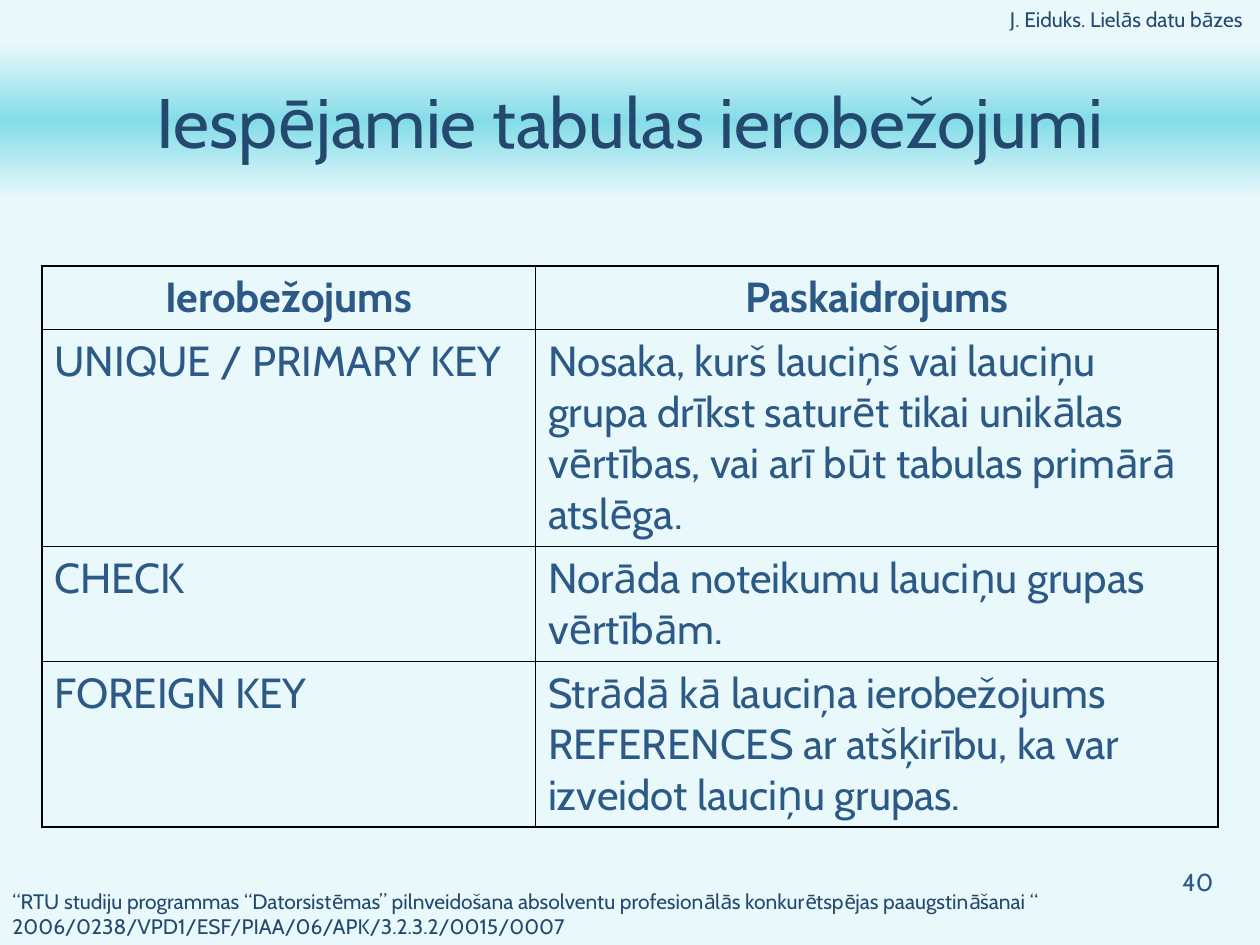
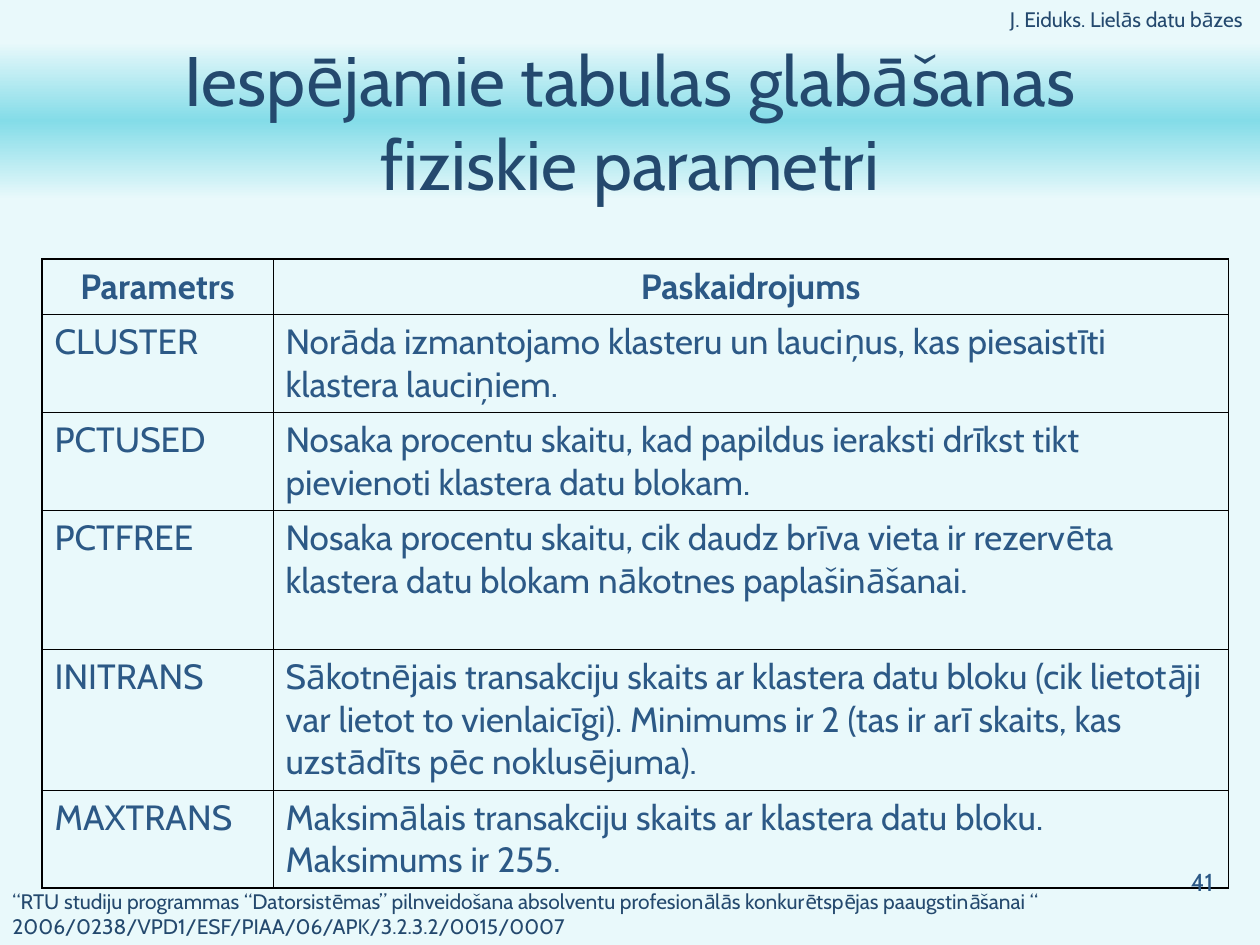
from copy import deepcopy
from dataclasses import dataclass

from lxml import etree
from pptx import Presentation
from pptx.dml.color import RGBColor
from pptx.enum import text as t
from pptx.oxml.ns import qn
from pptx.util import Pt

COLORS = {"background": "E9F9FB", "band": "84DCE8", "dark": "24496E",
          "body": "2C5986", "border": "000000"}
FONT = "Cabin"
OUTER, INNER = 1.08, 0.45
TITLE_ONLY = 5


@dataclass(frozen=True)
class Label:
    text: str
    left: float
    top: float
    width: float
    height: float
    size: float
    color: str
    align: t.PP_ALIGN


@dataclass(frozen=True)
class TableSlide:
    number: int
    title: str
    top: float
    columns: list[float]
    heights: list[float]
    size: float
    rows: list[tuple[str, str]]


SHARED_LABELS = [
    Label("“RTU studiju programmas “Datorsistēmas” pilnveidošana absolventu "
          "profesionālās konkurētspējas paaugstināšanai “\n"
          "2006/0238/VPD1/ESF/PIAA/06/APK/3.2.3.2/0015/0007",
          0, 504, 720, 36, 12, "dark", t.PP_ALIGN.LEFT),
    Label("J. Eiduks. Lielās datu bāzes ", 132, 0, 588, 15, 12, "dark", t.PP_ALIGN.RIGHT),
]

SLIDES = [
    TableSlide(40, "Iespējamie tabulas ierobežojumi", 152, [282, 390], [36, 122.5, 65, 94], 24, [
        ("Ierobežojums", "Paskaidrojums"),
        ("UNIQUE / PRIMARY KEY",
         "Nosaka, kurš lauciņš vai lauciņu grupa drīkst saturēt tikai unikālas vērtības, "
         "vai arī būt tabulas primārā atslēga."),
        ("CHECK", "Norāda noteikumu lauciņu grupas vērtībām."),
        ("FOREIGN KEY",
         "Strādā kā lauciņa ierobežojums REFERENCES ar atšķirību, ka var izveidot "
         "lauciņu grupas."),
    ]),
    TableSlide(41, "Iespējamie tabulas glabāšanas\vfiziskie parametri", 148, [132, 546],
               [31.5, 55.5, 55.5, 79.5, 79.5, 55.5], 20, [
        ("Parametrs", "Paskaidrojums"),
        ("CLUSTER",
         "Norāda izmantojamo klasteru un lauciņus, kas piesaistīti klastera lauciņiem."),
        ("PCTUSED",
         "Nosaka procentu skaitu, kad papildus ieraksti drīkst tikt pievienoti "
         "klastera datu blokam."),
        ("PCTFREE",
         "Nosaka procentu skaitu, cik daudz brīva vieta ir rezervēta klastera datu "
         "blokam nākotnes paplašināšanai."),
        ("INITRANS",
         "Sākotnējais transakciju skaits ar klastera datu bloku (cik lietotāji var lietot "
         "to vienlaicīgi). Minimums ir 2 (tas ir arī skaits, kas uzstādīts pēc noklusējuma)."),
        ("MAXTRANS",
         "Maksimālais transakciju skaits ar klastera datu bloku. Maksimums ir 255."),
    ]),
]


def rgb(name: str) -> RGBColor:
    return RGBColor.from_string(COLORS[name])


def write(tf, text: str, size: float, color: str, align: t.PP_ALIGN, bold: bool = False) -> None:
    tf.text = text
    for p in tf.paragraphs:
        p.alignment = align
        for r in p.runs:
            r.font.name = FONT
            r.font.size = Pt(size)
            r.font.bold = bold
            r.font.color.rgb = rgb(color)


def add_label(s, label: Label) -> None:
    box = s.shapes.add_textbox(*map(Pt, (label.left, label.top, label.width, label.height)))
    box.text_frame.word_wrap = True
    write(box.text_frame, label.text, label.size, label.color, label.align)


def format_title(s, title: str) -> None:
    sp = s.shapes.title
    sp.left, sp.top, sp.width, sp.height = Pt(0), Pt(24), Pt(720), Pt(90)
    sp.fill.gradient()
    stops = sp._element.spPr.find(qn("a:gradFill")).find(qn("a:gsLst"))
    stops.append(deepcopy(stops[-1]))
    sp.fill.gradient_angle = 90
    names = ("background", "band", "background")
    for i, (stop, name) in enumerate(zip(sp.fill.gradient_stops, names)):
        stop.position = i / 2
        stop.color.rgb = rgb(name)
    tf = sp.text_frame
    tf.auto_size = t.MSO_AUTO_SIZE.NONE
    tf.vertical_anchor = t.MSO_ANCHOR.MIDDLE
    write(tf, title, 40, "dark", t.PP_ALIGN.CENTER)


def set_borders(cell, on_edge: dict[str, bool]) -> None:
    tc_pr = cell._tc.get_or_add_tcPr()
    for side, outer in on_edge.items():
        ln = etree.SubElement(tc_pr, qn(f"a:ln{side}"), w=str(Pt(OUTER if outer else INNER)))
        fill = etree.SubElement(ln, qn("a:solidFill"))
        etree.SubElement(fill, qn("a:srgbClr"), val=COLORS["border"])


def add_grid(s, data: TableSlide) -> None:
    n_rows, n_cols = len(data.rows), len(data.columns)
    frame = s.shapes.add_table(n_rows, n_cols, Pt(24), Pt(data.top),
                               Pt(sum(data.columns)), Pt(sum(data.heights)))
    table = frame.table
    table.first_row = table.horz_banding = False
    for column, width in zip(table.columns, data.columns):
        column.width = Pt(width)
    for i, (row, height) in enumerate(zip(table.rows, data.heights)):
        row.height = Pt(height)
        header = i == 0
        align = t.PP_ALIGN.CENTER if header else t.PP_ALIGN.LEFT
        for j, text in enumerate(data.rows[i]):
            cell = table.cell(i, j)
            set_borders(cell, {"L": j == 0, "R": j == n_cols - 1,
                               "T": header, "B": i == n_rows - 1})
            cell.fill.background()
            write(cell.text_frame, text, data.size, "body", align, header)


def add_slide(prs, data: TableSlide) -> None:
    s = prs.slides.add_slide(prs.slide_layouts[TITLE_ONLY])
    format_title(s, data.title)
    add_grid(s, data)
    number = Label(str(data.number), 636.5, 492, 64, 36, 14, "body", t.PP_ALIGN.RIGHT)
    for label in [*SHARED_LABELS, number]:
        add_label(s, label)


def main() -> None:
    prs = Presentation()
    prs.slide_width, prs.slide_height = Pt(720), Pt(540)
    fill = prs.slide_master.background.fill
    fill.solid()
    fill.fore_color.rgb = rgb("background")
    for data in SLIDES:
        add_slide(prs, data)
    prs.save("out.pptx")


if __name__ == "__main__":
    main()
